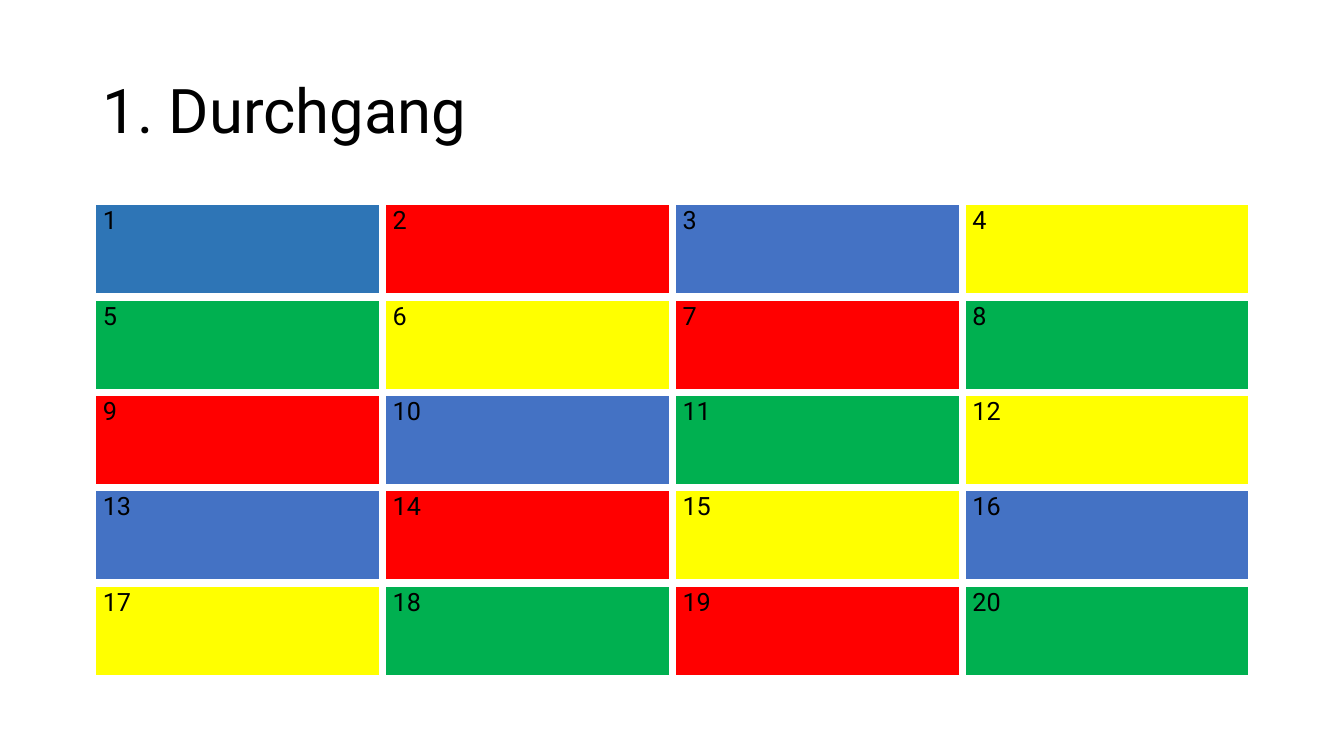
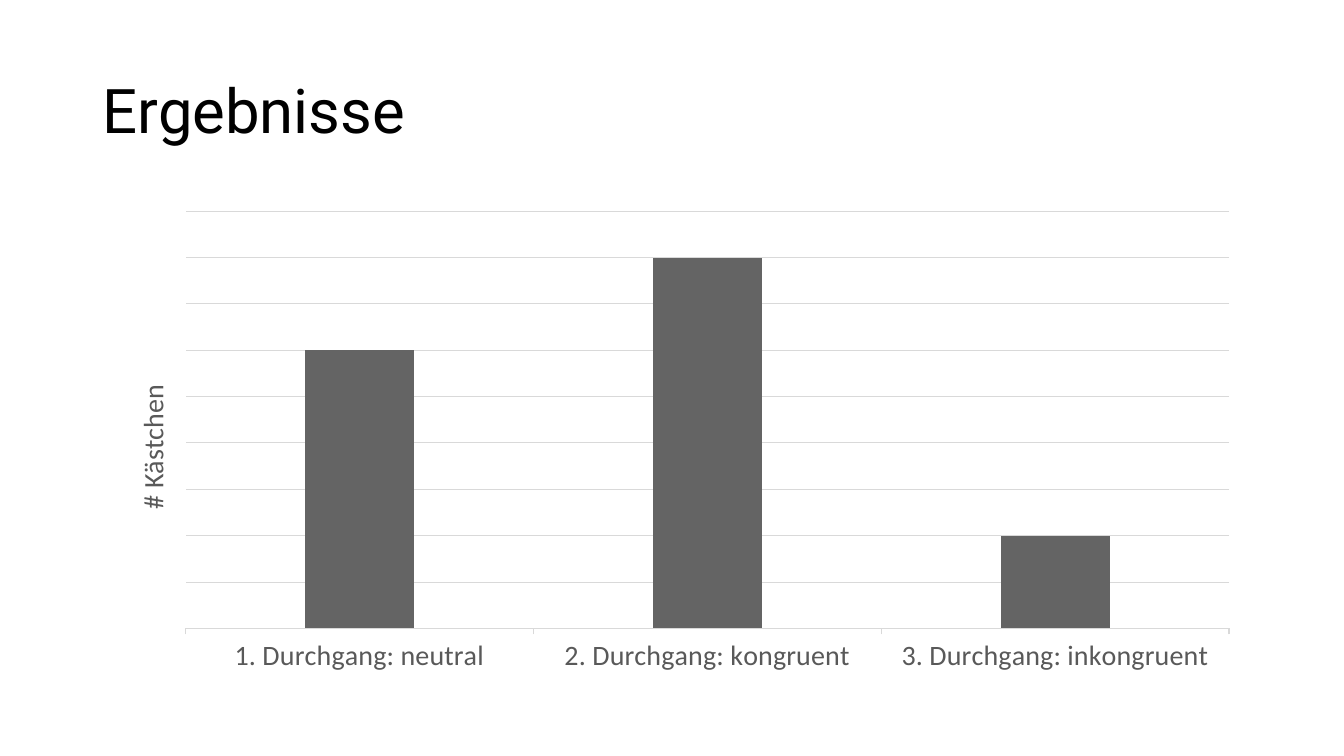
"""Build a colour-grid slide and a results chart slide."""
from lxml.etree import SubElement
from pptx import Presentation
from pptx.chart.data import CategoryChartData
from pptx.dml.color import RGBColor
from pptx.enum.chart import XL_CHART_TYPE, XL_TICK_LABEL_POSITION, XL_TICK_MARK
from pptx.enum.text import MSO_ANCHOR, MSO_AUTO_SIZE, PP_ALIGN
from pptx.oxml import parse_xml
from pptx.oxml.ns import nsdecls, qn
from pptx.util import Inches, Pt

BLACK = RGBColor(0, 0, 0)
WHITE = RGBColor(255, 255, 255)
STEEL = RGBColor(0x2E, 0x75, 0xB6)
BLUE = RGBColor(0x44, 0x72, 0xC4)
RED = RGBColor(255, 0, 0)
YELLOW = RGBColor(255, 255, 0)
GREEN = RGBColor(0, 0xB0, 0x50)
GREY = RGBColor(0x59, 0x59, 0x59)
PALE = RGBColor(0xD9, 0xD9, 0xD9)
BAR = RGBColor(0x64, 0x64, 0x64)

GRID = [
    (STEEL, RED, BLUE, YELLOW),
    (GREEN, YELLOW, RED, GREEN),
    (RED, BLUE, GREEN, YELLOW),
    (BLUE, RED, YELLOW, BLUE),
    (YELLOW, GREEN, RED, GREEN),
]
RESULTS = {
    "1. Durchgang: neutral": 75,
    "2. Durchgang: kongruent": 100,
    "3. Durchgang: inkongruent": 25,
}
STEP = 12.5
LEFT, TOP, WIDTH = Inches(0.92), Inches(2), Inches(11.5)
TABLE_H, CHART_H = Inches(4.73), Inches(4.76)


def style(font, size=18, face="Roboto", color=BLACK):
    font.size, font.name, font.bold = Pt(size), face, False
    font.color.rgb = color


def write(frame, text, align=PP_ALIGN.LEFT, space=None, **form):
    para = frame.paragraphs[0]
    para.alignment, para.line_spacing = align, space
    run = para.add_run()
    run.text = text
    style(run.font, **form)


def add_slide(deck, text):
    slide = deck.slides.add_slide(deck.slide_layouts[5])
    title = slide.shapes.title
    title.left, title.top = LEFT, Inches(0.4)
    title.width, title.height = WIDTH, Inches(1.45)
    frame = title.text_frame
    frame.auto_size = MSO_AUTO_SIZE.NONE
    frame.vertical_anchor = MSO_ANCHOR.MIDDLE
    write(frame, text, space=0.9, size=44)
    return slide


def add_borders(cell, color=WHITE, width=6):
    props = cell._tc.get_or_add_tcPr()
    for side in ("lnL", "lnR", "lnT", "lnB"):
        props.append(parse_xml(
            f'<a:{side} {nsdecls("a")} w="{Pt(width)}"><a:solidFill>'
            f'<a:srgbClr val="{color}"/></a:solidFill></a:{side}>'))


def add_grid(slide):
    rows, cols = len(GRID), len(GRID[0])
    table = slide.shapes.add_table(
        rows, cols, LEFT, TOP, WIDTH, TABLE_H).table
    for i, tones in enumerate(GRID):
        for j, tone in enumerate(tones):
            cell = table.cell(i, j)
            add_borders(cell)
            cell.fill.solid()
            cell.fill.fore_color.rgb = tone
            write(cell.text_frame, str(i * cols + j + 1))


def place(node, index, **shares):
    for old in node.findall(qn("c:layout")):
        node.remove(old)
    layout = parse_xml(f'<c:layout {nsdecls("c")}/>')
    node.insert(index, layout)
    manual = SubElement(layout, qn("c:manualLayout"))
    if "w" in shares:
        SubElement(manual, qn("c:layoutTarget")).set("val", "inner")
    for key in "xy":
        SubElement(manual, qn(f"c:{key}Mode")).set("val", "edge")
    for key, share in shares.items():
        SubElement(manual, qn(f"c:{key}")).set("val", str(share))


def add_chart(slide):
    data = CategoryChartData()
    data.categories = list(RESULTS)
    data.add_series("Series 1", list(RESULTS.values()))
    chart = slide.shapes.add_chart(
        XL_CHART_TYPE.COLUMN_CLUSTERED, LEFT, TOP, WIDTH, CHART_H, data).chart
    chart.has_legend = chart.has_title = False
    label = dict(size=20, face="Calibri", color=GREY)
    style(chart.font, **label)

    plot = chart.plots[0]
    plot.vary_by_categories = False
    plot.gap_width, plot.overlap = 219, -27
    fill = plot.series[0].format.fill
    fill.solid()
    fill.fore_color.rgb = BAR

    cats, vals = chart.category_axis, chart.value_axis
    style(cats.tick_labels.font, **label)
    cats.major_tick_mark = XL_TICK_MARK.OUTSIDE
    vals.major_tick_mark = XL_TICK_MARK.NONE
    vals.tick_label_position = XL_TICK_LABEL_POSITION.NONE
    vals.minimum_scale, vals.maximum_scale = 0, 9 * STEP
    vals.major_unit = STEP
    vals.format.line.fill.background()
    for line in (cats.format.line, vals.major_gridlines.format.line):
        line.color.rgb, line.width = PALE, Pt(0.75)

    frame = vals.axis_title.text_frame
    write(frame, "# Kästchen", align=PP_ALIGN.CENTER, **label)
    frame._txBody.find(qn("a:bodyPr")).set("rot", "-5400000")
    place(vals.axis_title._element, 1, x=0.03, y=0.37)
    area = chart._chartSpace.find(f".//{qn('c:plotArea')}")
    place(area, 0, x=0.08, y=0.02, w=0.9, h=0.87)


def main():
    deck = Presentation()
    deck.slide_width, deck.slide_height = Inches(13.33), Inches(7.5)
    add_grid(add_slide(deck, "1. Durchgang"))
    add_chart(add_slide(deck, "Ergebnisse"))
    deck.save("out.pptx")


if __name__ == "__main__":
    main()
